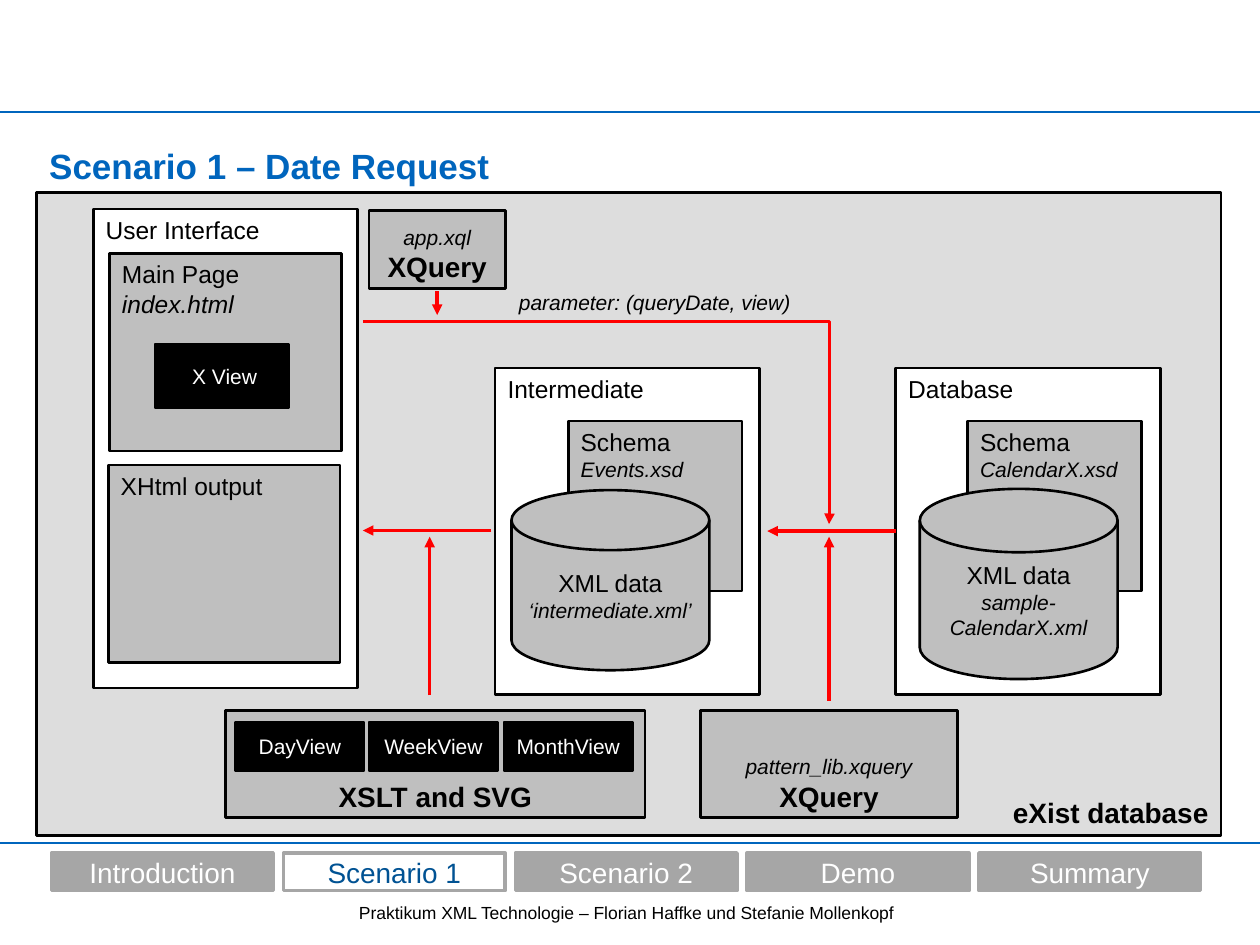
from lxml import etree
from pptx import Presentation
from pptx.dml.color import RGBColor
from pptx.enum.shapes import MSO_CONNECTOR, MSO_SHAPE
from pptx.enum.text import MSO_ANCHOR, PP_ALIGN
from pptx.oxml.ns import qn
from pptx.util import Pt

PX = 9144  # 100 px to the inch
FONT = "Arial"

BLACK = RGBColor(0x00, 0x00, 0x00)
WHITE = RGBColor(0xFF, 0xFF, 0xFF)
RED = RGBColor(0xFF, 0x00, 0x00)
BLUE = RGBColor(0x00, 0x65, 0xBD)
DARK_BLUE = RGBColor(0x00, 0x52, 0x93)
PALE_GREY = RGBColor(0xDD, 0xDD, 0xDD)
GREY = RGBColor(0xBF, 0xBF, 0xBF)
NAV_GREY = RGBColor(0xA6, 0xA6, 0xA6)

RECTANGLE = MSO_SHAPE.RECTANGLE
CYLINDER = MSO_SHAPE.FLOWCHART_MAGNETIC_DISK
STRAIGHT, ELBOW = MSO_CONNECTOR.STRAIGHT, MSO_CONNECTOR.ELBOW
TOP, MIDDLE, BOTTOM = MSO_ANCHOR.TOP, MSO_ANCHOR.MIDDLE, MSO_ANCHOR.BOTTOM
LEFT, CENTER, RIGHT = PP_ALIGN.LEFT, PP_ALIGN.CENTER, PP_ALIGN.RIGHT
LEFT_SIDE = 1


def emu(*lengths):
    return [length * PX for length in lengths]


def write(shape, lines, color=BLACK, align=LEFT, anchor=TOP, insets=(10, 5, 10, 5)):
    """Fill a shape with lines of (text, size, style); style holds b and i."""
    frame = shape.text_frame
    frame.word_wrap = True
    frame.vertical_anchor = anchor
    (frame.margin_left, frame.margin_top,
     frame.margin_right, frame.margin_bottom) = emu(*insets)
    for index, (text, size, style) in enumerate(lines):
        paragraph = frame.add_paragraph() if index else frame.paragraphs[0]
        paragraph.alignment = align
        run = paragraph.add_run()
        run.text = text
        run.font.name = FONT
        run.font.size = Pt(size)
        run.font.bold = "b" in style
        run.font.italic = "i" in style
        run.font.color.rgb = color


def add_box(slide, box, fill, lines, kind=RECTANGLE, line=BLACK, width=1.5, **text):
    shape = slide.shapes.add_shape(kind, *emu(*box))
    shape.shadow.inherit = False
    shape.fill.solid()
    shape.fill.fore_color.rgb = fill
    shape.line.color.rgb = line
    shape.line.width = Pt(width)
    write(shape, lines, **text)
    return shape


def add_label(slide, box, lines, **text):
    label = slide.shapes.add_textbox(*emu(*box))
    write(label, lines, **text)
    return label


def add_line(slide, start, end, color, width, kind=STRAIGHT):
    line = slide.shapes.add_connector(kind, *emu(*start, *end))
    line.line.color.rgb = color
    line.line.width = Pt(width)
    etree.SubElement(line._element.spPr, qn("a:effectLst"))
    return line


def add_arrow(slide, start, end, kind=STRAIGHT):
    arrow = add_line(slide, start, end, RED, 2, kind)
    outline = arrow.line._get_or_add_ln()
    etree.SubElement(outline, qn("a:tailEnd"), type="triangle")
    return arrow


def add_button(slide, box, text):
    add_box(slide, box, BLACK, [(text, 12, "")], color=WHITE, align=CENTER,
            anchor=MIDDLE, insets=(5, 5, 5, 5))


def add_header(slide, box):
    left, top, width, height = box
    add_line(slide, (left, top), (left + width, top), BLUE, 1.5)
    title = add_label(slide, (left + 39, top + 20, 812, height - 20),
                      [("Scenario 1 – Date Request", 20, "b")],
                      color=BLUE, anchor=BOTTOM, insets=(0, 0, 0, 0))
    title.text_frame.paragraphs[0].line_spacing = 1.25


def add_footer(slide, box, current):
    left, top, width, _ = box
    add_line(slide, (left, top), (left + width, top), BLUE, 1.5)
    add_label(slide, (left + 225, top + 42, 544, 27),
              [("Praktikum XML Technologie – Florian Haffke und Stefanie Mollenkopf", 10, "")],
              align=CENTER, anchor=MIDDLE, insets=(4, 4, 4, 4))
    sections = ["Introduction", "Scenario 1", "Scenario 2", "Demo", "Summary"]
    for index, section in enumerate(sections):
        active = section == current
        add_box(slide, (left + 41 + index * 184, top + 8, 176, 30),
                WHITE if active else NAV_GREY, [(section, 16, "")],
                line=NAV_GREY, width=2, color=DARK_BLUE if active else WHITE,
                align=CENTER, anchor=MIDDLE)


def add_user_interface(slide, box):
    left, top, _, _ = box
    add_box(slide, box, WHITE, [("User Interface", 14, "")])
    add_box(slide, (left + 13, top + 35, 184, 157), GREY,
            [("Main Page", 14, ""), ("index.html", 14, "i")])
    add_box(slide, (left + 12, top + 203, 184, 157), GREY, [("XHtml output", 14, "")])
    add_button(slide, (left + 49, top + 107, 106, 51), " X View")


def add_store(slide, box, name, schema, data, schema_left, disk):
    """A data store: a schema sheet partly behind a disk placed within the box."""
    left, top, _, _ = box
    panel = add_box(slide, box, WHITE, [(name, 14, "")])
    add_box(slide, (left + schema_left, top + 42, 138, 135), GREY,
            [("Schema", 14, ""), (schema, 12, "i")])
    disk_left, disk_top, disk_width, disk_height = disk
    add_box(slide, (left + disk_left, top + disk_top, disk_width, disk_height), GREY,
            [("XML data", 14, ""), (data, 12, "i")], kind=CYLINDER,
            align=CENTER, anchor=MIDDLE)
    return panel


def add_processor(slide, box, lines):
    add_box(slide, box, GREY, lines, align=CENTER, anchor=BOTTOM, insets=(10, 10, 10, 4))


def add_stylesheets(slide, box):
    left, top, _, _ = box
    add_processor(slide, box, [("XSLT and SVG", 16, "b")])
    for index, view in enumerate(["DayView", "WeekView", "MonthView"]):
        add_button(slide, (left + 8 + round(index * 106.5), top + 9, 102, 39), view)


def add_query(slide, box, file_name):
    add_processor(slide, box, [(file_name, 12, "i"), ("XQuery", 16, "b")])


def add_request_flow(slide, box, database):
    """Red arrows and the parameter label, relative to the diagram frame."""
    left, top, _, _ = box

    def at(x, y):
        return left + x, top + y

    request = add_arrow(slide, at(259, 102), at(629, 263), ELBOW)
    guides = request._element.spPr.find(qn("a:prstGeom")).get_or_add_avLst()
    etree.SubElement(guides, qn("a:gd"), name="adj1", fmla="val 100100")
    for start, end in [((629, 403), (629, 273)), ((312, 399), (312, 273)),
                       ((361, 268), (259, 268)), ((318, 78), (318, 97))]:
        add_arrow(slide, at(*start), at(*end))
    read = add_arrow(slide, at(682, 268), at(580, 268))
    read.begin_connect(database, LEFT_SIDE)
    read.end_y = read.begin_y
    add_label(slide, (*at(373, 72), 243, 30), [("parameter: (queryDate, view)", 12, "i")])


def add_diagram(slide, box):
    left, top, _, _ = box
    add_box(slide, box, PALE_GREY, [("eXist database", 16, "b")], align=RIGHT, anchor=BOTTOM)
    add_user_interface(slide, (left + 45, top + 13, 210, 380))
    add_store(slide, (left + 364, top + 139, 210, 259), "Intermediate", "Events.xsd",
              "‘intermediate.xml’", 58, (13, 97, 157, 143))
    database = add_store(slide, (left + 682, top + 139, 210, 259), "Database",
                         "CalendarX.xsd", "sample-CalendarX.xml", 57, (19, 96, 157, 151))
    add_stylesheets(slide, (left + 150, top + 411, 333, 85))
    add_query(slide, (left + 527, top + 411, 204, 85), "pattern_lib.xquery")
    add_query(slide, (left + 264, top + 14, 108, 62), "app.xql")
    add_request_flow(slide, box, database)


def main():
    presentation = Presentation()
    presentation.slide_width, presentation.slide_height = emu(1000, 750)
    slide = presentation.slides.add_slide(presentation.slide_layouts[6])
    add_header(slide, (0, 89, 1000, 59))
    add_footer(slide, (0, 669, 1000, 81), "Scenario 1")
    add_diagram(slide, (29, 153, 940, 510))
    presentation.save("out.pptx")


if __name__ == "__main__":
    main()
